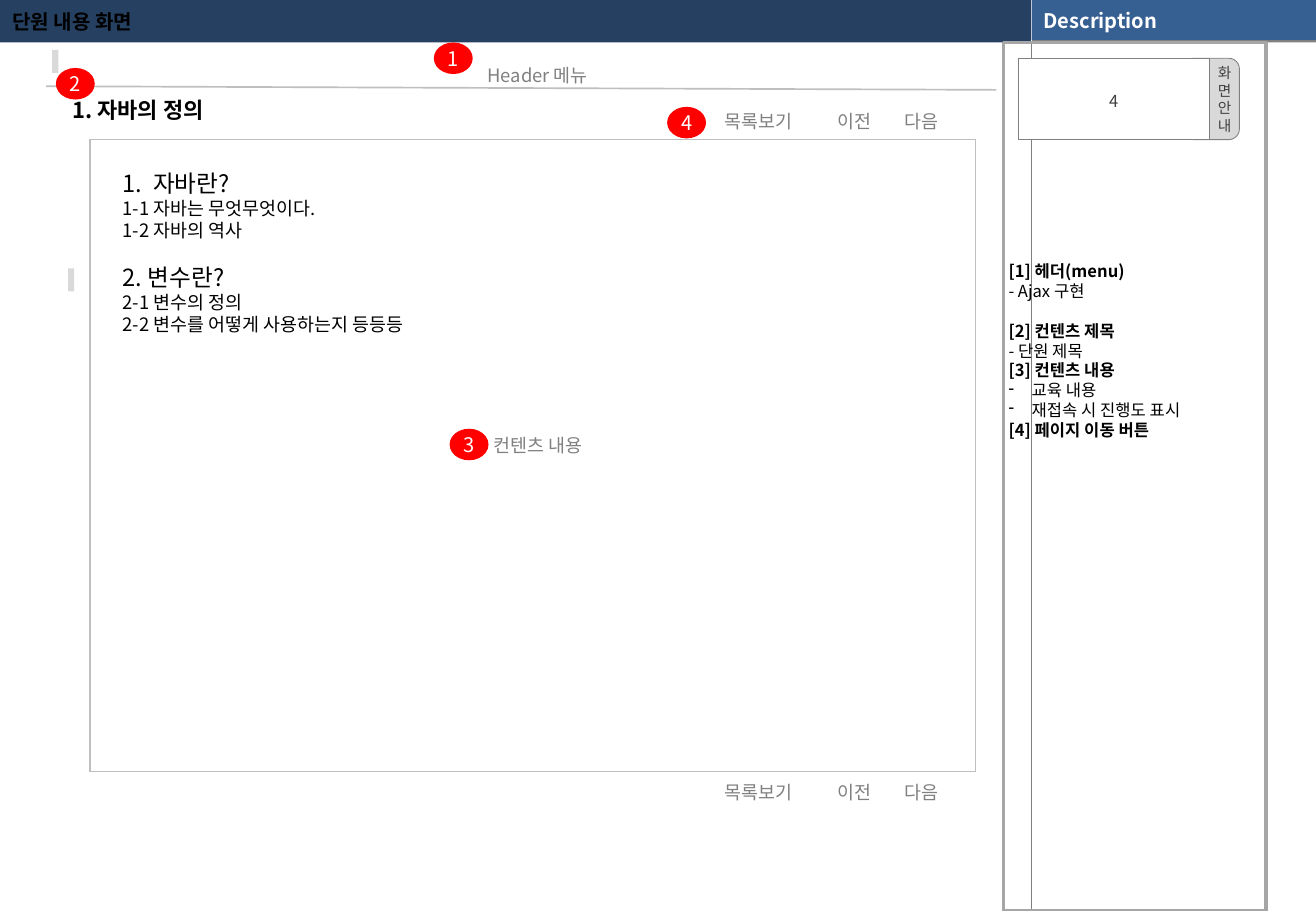
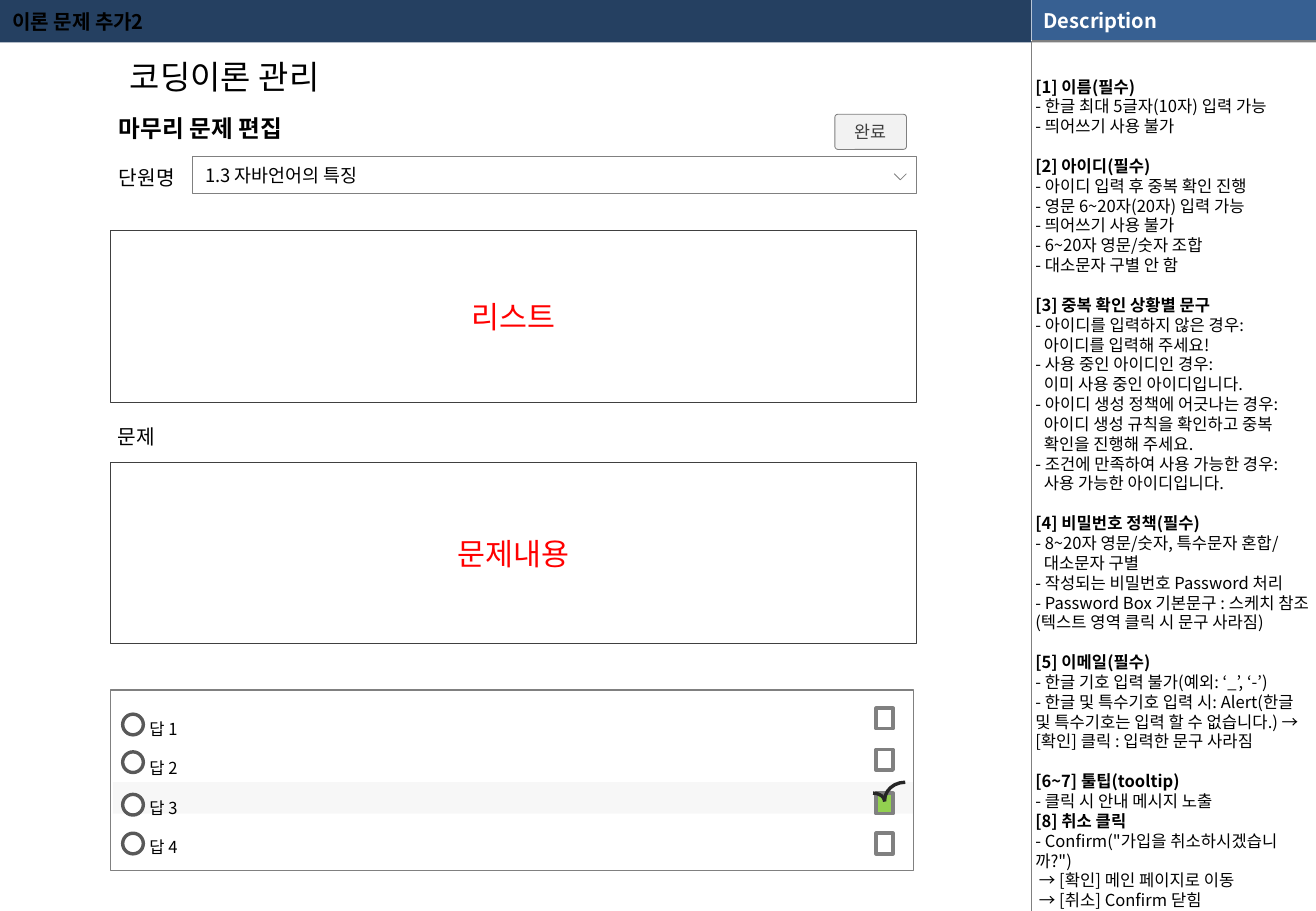
from dataclasses import dataclass

from lxml.etree import SubElement
from pptx import Presentation
from pptx.dml.color import RGBColor
from pptx.enum.shapes import MSO_CONNECTOR as Connector, MSO_SHAPE as Preset
from pptx.enum.text import MSO_ANCHOR as Anchor, MSO_AUTO_SIZE as AutoSize, PP_ALIGN as Align
from pptx.oxml.ns import qn
from pptx.util import Pt

PX = 9144


@dataclass(frozen=True)
class Theme:
    """Colours, type sizes and font shared by the slides."""
    font: str = "Noto Sans CJK KR"
    navy: str = "254061"
    blue: str = "376092"
    red: str = "FF0000"
    green: str = "92D050"
    white: str = "FFFFFF"
    black: str = "000000"
    ink: str = "262626"
    dark: str = "404040"
    ring: str = "595959"
    grey: str = "808080"
    frame: str = "A6A6A6"
    rule: str = "BFBFBF"
    pale: str = "D9D9D9"
    button: str = "F2F2F2"
    tab: float = 8.7
    note: float = 9.8
    action: float = 10.3
    body: float = 10.9
    band: float = 11.9
    label: float = 12
    section: float = 13
    heading: float = 14
    sample: float = 18
    page: float = 19.5
    leading: float = 1.2


THEME = Theme()
PADDING = (10, 5, 10, 5)
NO_PADDING = (0, 0, 0, 0)


@dataclass(frozen=True)
class Box:
    """A rectangle in px."""
    left: int
    top: int
    width: int
    height: int

    def inside(self, left, top, width, height):
        """Return a box offset from this one's corner."""
        return Box(self.left + left, self.top + top, width, height)

    def emu(self):
        """Return left, top, width and height in EMU."""
        return [value * PX for value in (self.left, self.top, self.width, self.height)]


@dataclass(frozen=True)
class Line:
    """One paragraph; a size of None takes that of its box."""
    text: str
    bold: bool = False
    size: float = None
    before: float = 0
    indent: int = 0
    bullet: str = None


def rgb(colour):
    """Turn a hex string into a colour."""
    return RGBColor.from_string(colour)


def add_block(slide, box, fill=None, line=None, weight=0.5, preset=Preset.RECTANGLE):
    """Add a flat preset shape."""
    shape = slide.shapes.add_shape(preset, *box.emu())
    return paint(shape, fill, line, weight)


def paint(shape, fill=None, line=None, weight=0.5):
    """Set fill and line and drop the shadow."""
    shape.shadow.inherit = False
    if fill:
        shape.fill.solid()
        shape.fill.fore_color.rgb = rgb(fill)
    else:
        shape.fill.background()
    if line:
        shape.line.color.rgb = rgb(line)
        shape.line.width = Pt(weight)
    else:
        shape.line.fill.background()
    return shape


def add_rule(slide, start, end, colour, weight):
    """Add a straight line between two points."""
    points = [value * PX for value in (*start, *end)]
    connector = slide.shapes.add_connector(Connector.STRAIGHT, *points)
    connector.line.color.rgb = rgb(colour)
    connector.line.width = Pt(weight)
    SubElement(connector.element.spPr, qn("a:effectLst"))


def write(shape, lines, size, colour=THEME.black, align=Align.LEFT, anchor=Anchor.TOP,
          insets=PADDING, wrap=True, spacing=1.0):
    """Fill a shape with paragraphs."""
    frame = shape.text_frame
    frame.auto_size = AutoSize.NONE
    frame.word_wrap = wrap
    frame.vertical_anchor = anchor
    frame.margin_left, frame.margin_top, frame.margin_right, frame.margin_bottom = (
        value * PX for value in insets)
    for index, line in enumerate(lines):
        paragraph = frame.add_paragraph() if index else frame.paragraphs[0]
        paragraph.text = line.text
        paragraph.alignment = align
        points = line.size or size
        paragraph.line_spacing = Pt(round(points * THEME.leading * spacing, 2))
        paragraph.space_before = Pt(line.before)
        properties = paragraph._p.get_or_add_pPr()
        properties.set("marL", str(line.indent * PX))
        properties.set("indent", str(-line.indent * PX if line.bullet else 0))
        if line.bullet == "1.":
            SubElement(properties, qn("a:buAutoNum"), type="arabicPeriod")
        elif line.bullet:
            SubElement(properties, qn("a:buChar"), char=line.bullet)
        font = paragraph.font
        font.size = Pt(points)
        font.bold = line.bold
        font.color.rgb = rgb(colour)
        font.name = THEME.font
        SubElement(properties.find(qn("a:defRPr")), qn("a:ea"), typeface=THEME.font)


def add_text(slide, box, text, size, bold=False, **style):
    """Add a text box with one paragraph."""
    write(slide.shapes.add_textbox(*box.emu()), [Line(text, bold)], size, **style)


def add_bands(slide, layout):
    """Draw the top bands and side rule, then move them to the layout."""
    add_block(slide, Box(0, 0, 849, 35), THEME.navy)
    add_block(slide, Box(849, 0, 234, 35), THEME.grey)
    add_rule(slide, (849, 0), (849, 35), THEME.white, 0.25)
    add_rule(slide, (849, 34), (849, 750), THEME.grey, 0.25)
    band = add_block(slide, Box(849, 0, 234, 33), THEME.blue)
    write(band, [Line("Description", True)], THEME.band, THEME.white, anchor=Anchor.MIDDLE)
    for shape in list(slide.shapes):
        if not shape.is_placeholder:
            layout.shapes.element.insert_element_before(shape.element, "p:extLst")


def set_title(slide, text):
    """Place the title on the top band."""
    title = slide.shapes.title
    title.left, title.top, title.width, title.height = Box(0, 0, 825, 35).emu()
    write(title, [Line(text, True)], THEME.band, anchor=Anchor.MIDDLE)


def add_description(shape, groups, top):
    """Write groups of notes, a line apart, with bracketed headings in bold."""
    lines = []
    for group in groups:
        for index, entry in enumerate(group):
            line = entry if isinstance(entry, Line) else Line(entry, entry.startswith("["))
            if lines and not index:
                line = Line(line.text, line.bold, before=THEME.note * THEME.leading)
            lines.append(line)
    write(shape, lines, THEME.note, insets=(4, top, 4, 0))


def add_badge(slide, left, top, number):
    """Add a numbered red marker."""
    badge = add_block(slide, Box(left, top, 32, 26), THEME.red, preset=Preset.OVAL)
    write(badge, [Line(number)], THEME.band, THEME.white, Align.CENTER, Anchor.MIDDLE,
          NO_PADDING, False)


def add_page_links(slide, box):
    """Add the list, previous and next links."""
    for offset, text in ((0, "목록보기"), (79, "이전"), (134, "다음")):
        add_text(slide, box.inside(offset, 0, 87, 18), text, THEME.body,
                 colour=THEME.grey, align=Align.CENTER, insets=NO_PADDING)


def add_screen_guide(slide, box):
    """Add the screen number with its side tab."""
    tab = add_block(slide, box.inside(136, 0, 46, box.height), THEME.pale, THEME.grey,
                    preset=Preset.ROUNDED_RECTANGLE)
    tab.adjustments[0] = 0.19
    write(tab, [Line(letter) for letter in "화면안내"], THEME.tab, THEME.dark, Align.RIGHT,
          Anchor.MIDDLE, (0, 0, 4, 0), False)
    number = add_block(slide, box.inside(0, 0, 157, box.height), THEME.white, THEME.grey)
    write(number, [Line("4")], THEME.note, THEME.dark, Align.CENTER, Anchor.MIDDLE,
          (4, 4, 4, 4), False, 1.2)


def add_content(slide, box):
    """Add the bordered content table and the sample lesson on it."""
    table = slide.shapes.add_table(1, 1, *box.emu()).table
    table.first_row = table.horz_banding = False
    cell = table.cell(0, 0)
    cell.fill.background()
    properties = cell._tc.get_or_add_tcPr()
    for index, side in enumerate("LRTB"):
        border = SubElement(properties, qn(f"a:ln{side}"), w=str(Pt(0.96)))
        fill = SubElement(border, qn("a:solidFill"))
        SubElement(fill, qn("a:srgbClr"), val=THEME.rule)
        properties.insert(index, border)
    lesson = add_block(slide, box.inside(27, 24, 370, 137), THEME.white)
    write(lesson, [
        Line("자바란?", size=THEME.heading, indent=25, bullet="1."),
        Line("1-1 자바는 무엇무엇이다."),
        Line("1-2 자바의 역사"),
        Line("2. 변수란?", size=THEME.heading, before=13),
        Line("2-1 변수의 정의"),
        Line("2-2 변수를 어떻게 사용하는지 등등등"),
    ], THEME.body, insets=NO_PADDING)
    add_text(slide, box.inside(298, 242, 142, 18), "컨텐츠 내용", THEME.body,
             colour=THEME.grey, align=Align.CENTER, insets=NO_PADDING)


def build_lesson_slide(slide):
    """Build the lesson content screen."""
    set_title(slide, "단원 내용 화면")
    add_rule(slide, (38, 71), (820, 74), THEME.rule, 1)
    for left, top in ((43, 41), (56, 221)):
        add_block(slide, Box(left, top, 5, 19), THEME.pale)
    add_text(slide, Box(50, 75, 276, 32), "1. 자바의 정의", THEME.section, True)
    add_text(slide, Box(46, 39, 793, 28), "Header 메뉴", THEME.body, colour=THEME.grey,
             align=Align.CENTER, spacing=1.5)
    panel = add_block(slide, Box(826, 35, 216, 715), line=THEME.frame, weight=2)
    add_description(panel, [
        ["[1] 헤더(menu)", "- Ajax 구현"],
        ["[2] 컨텐츠 제목", "- 단원 제목", "[3] 컨텐츠 내용",
         Line("교육 내용", indent=19, bullet="-"),
         Line("재접속 시 진행도 표시", indent=19, bullet="-"),
         "[4] 페이지 이동 버튼"],
    ], 180)
    add_screen_guide(slide, Box(838, 48, 182, 67))
    add_content(slide, Box(74, 115, 729, 520))
    for top in (643, 91):
        add_page_links(slide, Box(581, top, 221, 18))
    for number, (left, top) in enumerate(((357, 35), (46, 56), (370, 353), (549, 88)), 1):
        add_badge(slide, left, top, str(number))


def add_sample_area(slide, box, text):
    """Add a framed area with a red label."""
    area = add_block(slide, box, THEME.white, THEME.dark)
    write(area, [Line(text)], THEME.sample, THEME.red, Align.CENTER, Anchor.MIDDLE)


def add_unit_select(slide, box):
    """Add the unit drop-down with its chevron."""
    field = add_block(slide, box, THEME.white, THEME.grey)
    write(field, [Line("1.3 자바언어의 특징")], THEME.body, anchor=Anchor.MIDDLE,
          insets=(11, 5, 22, 5))
    left, top = box.left + box.width - 18, box.top + 14
    builder = slide.shapes.build_freeform(left, top, scale=PX)
    builder.add_line_segments([(left + 5, top + 5), (left + 10, top)], close=False)
    paint(builder.convert_to_shape(), THEME.white, THEME.grey)


def add_answers(slide, box):
    """Add the four answers with radio buttons and check boxes."""
    chosen = 2
    for index, (radio_top, check_top) in enumerate(((20, 15), (51, 49), (86, 85), (118, 118))):
        row = box.inside(2, 11 + round(index * 32.33), 659, 26)
        if index == chosen:
            band = add_block(slide, row, THEME.pale)
            colour = band.element.spPr.find(qn("a:solidFill")).find(qn("a:srgbClr"))
            SubElement(colour, qn("a:alpha"), val="20000")
        add_text(slide, row, f"답 {index + 1}", THEME.note, insets=(30, 5, 10, 5), spacing=1.5)
        add_block(slide, box.inside(10, radio_top, 17, 17), THEME.white, THEME.ring, 2,
                  Preset.OVAL)
        add_block(slide, box.inside(630, check_top, 14, 17),
                  THEME.green if index == chosen else THEME.white, THEME.grey, 2)
    add_block(slide, box, line=THEME.grey, weight=0.75)
    add_block(slide, box.inside(618, 85, 19, 14), None, THEME.ink, 2, Preset.ARC)
    stroke = add_block(slide, box.inside(637, 76, 34, 30), None, THEME.ink, 2, Preset.ARC)
    stroke.element.spPr.get_or_add_xfrm().set("flipH", "1")


def build_question_slide(slide):
    """Build the question editing screen."""
    set_title(slide, "이론 문제 추가2")
    add_description(slide.shapes.add_textbox(*Box(848, 33, 235, 715).emu()), [
        ["[1] 이름(필수)", "- 한글 최대 5글자(10자) 입력 가능", "- 띄어쓰기 사용 불가"],
        ["[2] 아이디(필수)", "- 아이디 입력 후 중복 확인 진행", "- 영문 6~20자(20자) 입력 가능",
         "- 띄어쓰기 사용 불가", "- 6~20자 영문/숫자 조합", "- 대소문자 구별 안 함"],
        ["[3] 중복 확인 상황별 문구", "- 아이디를 입력하지 않은 경우:",
         Line("아이디를 입력해 주세요!", indent=7), "- 사용 중인 아이디인 경우:",
         Line("이미 사용 중인 아이디입니다.", indent=7), "- 아이디 생성 정책에 어긋나는 경우:",
         Line("아이디 생성 규칙을 확인하고 중복", indent=7), Line("확인을 진행해 주세요.", indent=7),
         "- 조건에 만족하여 사용 가능한 경우:", Line("사용 가능한 아이디입니다.", indent=7)],
        ["[4] 비밀번호 정책(필수)", "- 8~20자 영문/숫자, 특수문자 혼합/",
         Line("대소문자 구별", indent=7), "- 작성되는 비밀번호 Password 처리",
         "- Password Box 기본문구 : 스케치 참조 (텍스트 영역 클릭 시 문구 사라짐)"],
        ["[5] 이메일(필수)", "- 한글 기호 입력 불가(예외: ‘_’, ‘-’)",
         "- 한글 및 특수기호 입력 시: Alert(한글 및 특수기호는 입력 할 수 없습니다.) → "
         "[확인] 클릭 : 입력한 문구 사라짐"],
        ["[6~7] 툴팁(tooltip)", "- 클릭 시 안내 메시지 노출", "[8] 취소 클릭",
         "- Confirm(\"가입을 취소하시겠습니까?\")",
         Line("→ [확인] 메인 페이지로 이동", indent=3), Line("→ [취소] Confirm 닫힘", indent=3)],
    ], 30)
    add_text(slide, Box(72, 42, 226, 42), "코딩이론 관리", THEME.page, align=Align.CENTER)
    add_text(slide, Box(88, 89, 170, 33), "마무리 문제 편집", THEME.heading, True, wrap=False)
    add_text(slide, Box(88, 131, 70, 30), "단원명", THEME.label, wrap=False)
    add_text(slide, Box(87, 344, 71, 30), "문제", THEME.label)
    add_unit_select(slide, Box(158, 129, 596, 30))
    add_sample_area(slide, Box(91, 190, 663, 141), "리스트")
    add_sample_area(slide, Box(91, 381, 663, 149), "문제내용")
    add_answers(slide, Box(91, 568, 661, 149))
    button = add_block(slide, Box(687, 94, 59, 29), THEME.button, THEME.grey,
                       preset=Preset.ROUNDED_RECTANGLE)
    button.adjustments[0] = 0.09
    write(button, [Line("완료")], THEME.action, THEME.dark, Align.CENTER, Anchor.MIDDLE,
          (5, 5, 5, 5))


def main():
    """Build and save the presentation."""
    presentation = Presentation()
    presentation.slide_width, presentation.slide_height = 1083 * PX, 750 * PX
    layout = presentation.slide_layouts[5]
    for index, build in enumerate((build_lesson_slide, build_question_slide)):
        slide = presentation.slides.add_slide(layout)
        if not index:
            add_bands(slide, layout)
        build(slide)
    presentation.save("out.pptx")


if __name__ == "__main__":
    main()
